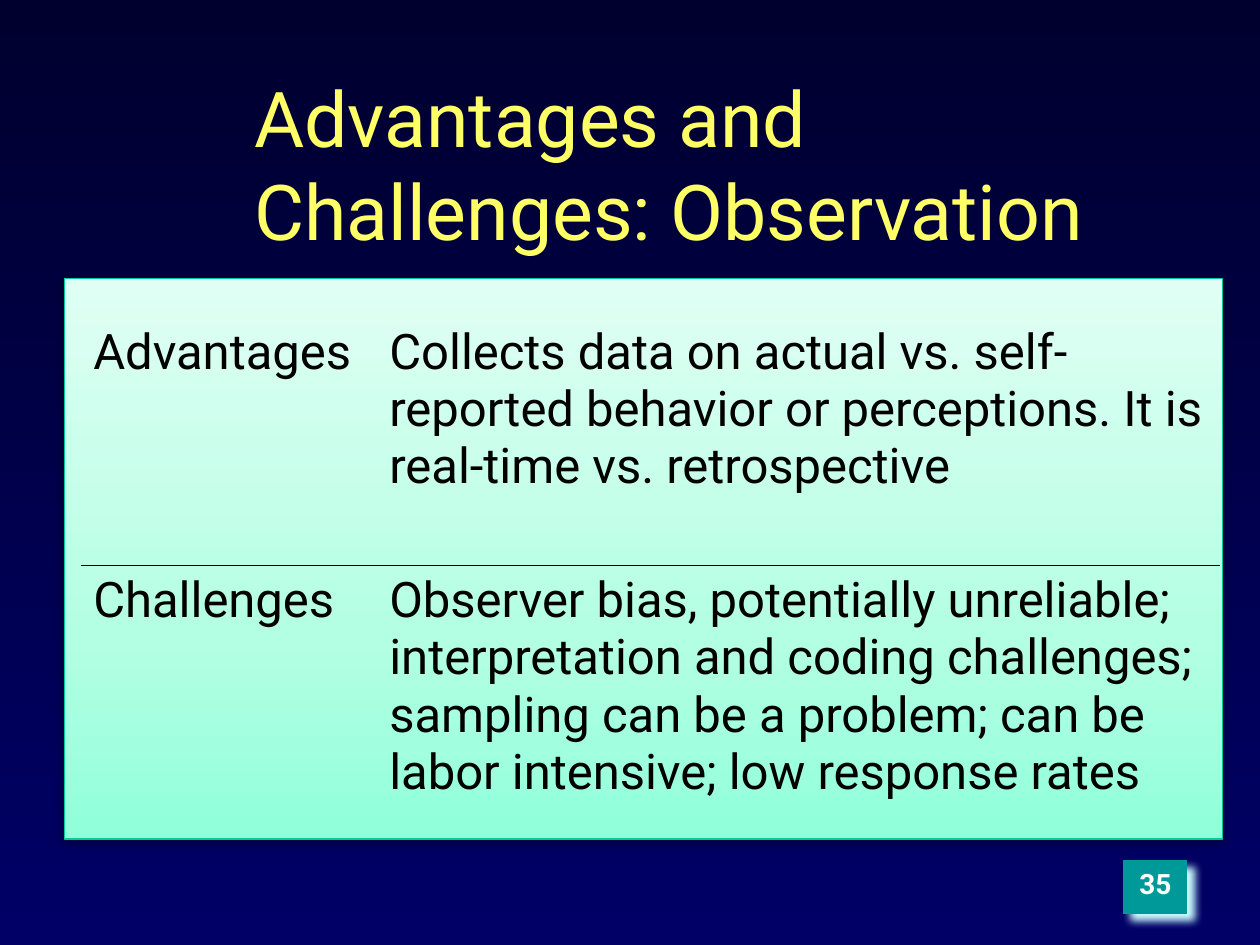
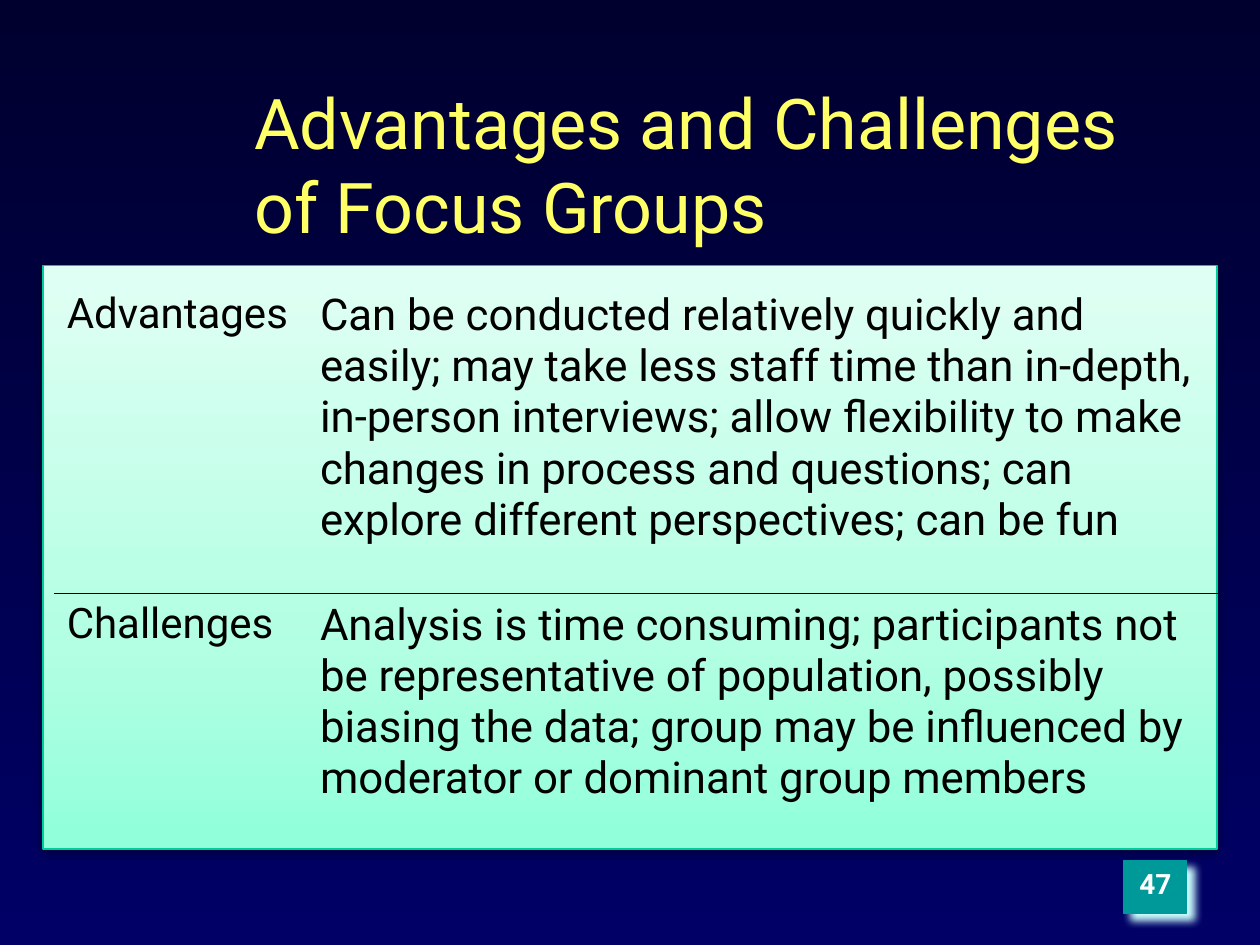
from pptx import Presentation
from pptx.dml.color import RGBColor
from pptx.enum.shapes import MSO_SHAPE
from pptx.enum.text import MSO_ANCHOR, PP_ALIGN
from pptx.oxml.ns import qn
from pptx.util import Inches, Pt
from lxml.etree import SubElement

FONT = "Roboto"
NIGHT = RGBColor(0x00, 0x00, 0x2F)
NAVY = RGBColor(0x00, 0x00, 0x66)
YELLOW = RGBColor(0xFF, 0xFF, 0x66)
MINT = RGBColor(0x90, 0xFF, 0xDA)
LIGHT_MINT = RGBColor(0xB2, 0xFF, 0xE3)
PALE_MINT = RGBColor(0xE0, 0xFF, 0xF4)
GREEN = RGBColor(0x00, 0xCC, 0x98)
TEAL = RGBColor(0x00, 0x99, 0x99)
GLOW = RGBColor(0xCC, 0xFF, 0xFF)
BLACK = RGBColor(0x00, 0x00, 0x00)
WHITE = RGBColor(0xFF, 0xFF, 0xFF)
NO_GRID_STYLE = "{2D5ABB26-0587-4C30-8999-92F81FD0307C}"


def add_color(parent, color):
    return SubElement(parent, qn("a:srgbClr"), val=str(color))


def set_gradient(fill, owner, stops, angle):
    """Fill with (percent, colour) stops; the angle runs counter-clockwise."""
    fill.gradient()
    fill.gradient_angle = angle
    stop_list = owner.find(".//" + qn("a:gsLst"))
    for stop in list(stop_list):
        stop_list.remove(stop)
    for percent, color in stops:
        add_color(SubElement(stop_list, qn("a:gs"), pos=str(percent * 1000)), color)


def set_shadow(shape, color, opacity, blur, distance, angle):
    shape.shadow.inherit = False
    effects = shape.element.spPr.find(qn("a:effectLst"))
    shadow = SubElement(effects, qn("a:outerShdw"), blurRad=str(Pt(blur)),
                        dist=str(Pt(distance)), dir=str(angle * 60000),
                        algn="ctr", rotWithShape="0")
    SubElement(add_color(shadow, color), qn("a:alpha"), val=str(opacity * 1000))


def write(text_frame, text, size, color, bold=False):
    text_frame.word_wrap = True
    paragraph = text_frame.paragraphs[0]
    paragraph.text = text
    font = paragraph.font
    font.name, font.size, font.bold = FONT, Pt(size), bold
    font.color.rgb = color
    return paragraph


def add_rectangle(slide, box, line_color):
    rectangle = slide.shapes.add_shape(MSO_SHAPE.RECTANGLE, *map(Inches, box))
    rectangle.line.color.rgb = line_color
    rectangle.line.width = Pt(0.75)
    return rectangle


def add_panel(slide, box):
    panel = add_rectangle(slide, box, GREEN)
    set_gradient(panel.fill, panel.element.spPr,
                 [(0, MINT), (35, LIGHT_MINT), (100, PALE_MINT)], 90)
    set_shadow(panel, BLACK, 38, 5, 1.6, 90)


def add_page_number(slide, number):
    badge = add_rectangle(slide, (8.92, 6.83, 0.5, 0.42), TEAL)
    badge.fill.solid()
    badge.fill.fore_color.rgb = TEAL
    set_shadow(badge, GLOW, 100, 5, 5.7, 45)
    write(badge.text_frame, str(number), 16, WHITE, True).alignment = PP_ALIGN.CENTER
    badge.text_frame.vertical_anchor = MSO_ANCHOR.TOP


def add_title(slide, title, size):
    title_box = slide.shapes.add_textbox(*map(Inches, (1.92, 0.67, 7.33, 1.25)))
    title_box.text_frame.vertical_anchor = MSO_ANCHOR.MIDDLE
    write(title_box.text_frame, title, size, YELLOW)


def add_border(cell, side):
    line = SubElement(cell._tc.get_or_add_tcPr(), qn(side), w=str(Pt(1)))
    add_color(SubElement(line, qn("a:solidFill")), BLACK)


def add_comparison(slide, left, top, widths, heights, rows, sizes):
    """Place a table whose rows are parted by one thin line."""
    frame = slide.shapes.add_table(
        len(heights), len(widths), Inches(left), Inches(top),
        Inches(sum(widths)), Inches(sum(heights)))
    table = frame.table
    table.first_row = table.horz_banding = False
    table._tbl.tblPr.find(qn("a:tableStyleId")).text = NO_GRID_STYLE
    for column, width in zip(table.columns, widths):
        column.width = Inches(width)
    for row_index, (height, texts) in enumerate(zip(heights, rows)):
        table.rows[row_index].height = Inches(height)
        for column_index, (text, size) in enumerate(zip(texts, sizes)):
            cell = table.cell(row_index, column_index)
            add_border(cell, "a:lnT" if row_index else "a:lnB")
            cell.fill.background()
            write(cell.text_frame, text, size, BLACK)


def add_method_slide(deck, number, title, title_size, panel, table_offset,
                     widths, heights, advantages, challenges, sizes):
    slide = deck.slides.add_slide(deck.slide_layouts[6])
    set_gradient(slide.background.fill, slide.element, [(0, NIGHT), (100, NAVY)], 270)
    add_panel(slide, panel)
    add_page_number(slide, number)
    add_title(slide, title, title_size)
    add_comparison(slide, panel[0] + table_offset[0], panel[1] + table_offset[1],
                   widths, heights,
                   [("Advantages", advantages), ("Challenges", challenges)], sizes)


def main():
    deck = Presentation()
    deck.slide_width, deck.slide_height = Inches(10), Inches(7.5)
    add_method_slide(
        deck, 35, "Advantages and Challenges: Observation", 44,
        panel=(0.51, 2.21, 9.19, 4.45), table_offset=(0.13, 0.31),
        widths=(2.35, 6.69), heights=(1.97, 2.25),
        advantages="Collects data on actual vs. self- reported behavior or "
                   "perceptions. It is real-time vs. retrospective",
        challenges="Observer bias, potentially unreliable; interpretation and "
                   "coding challenges; sampling can be a problem; can be labor "
                   "intensive; low response rates",
        sizes=(28, 28))
    add_method_slide(
        deck, 47, "Advantages and Challenges of Focus Groups", 40,
        panel=(0.34, 2.11, 9.32, 4.63), table_offset=(0.09, 0.14),
        widths=(2.01, 7.23), heights=(2.46, 2.25),
        advantages="Can be conducted relatively quickly and easily; may take less "
                   "staff time than in-depth, in-person interviews; allow "
                   "flexibility to make changes in process and questions; can "
                   "explore different perspectives; can be fun",
        challenges="Analysis is time consuming; participants not be representative "
                   "of population, possibly biasing the data; group may be "
                   "influenced by moderator or dominant group members",
        sizes=(24, 25))
    deck.save("out.pptx")


if __name__ == "__main__":
    main()
